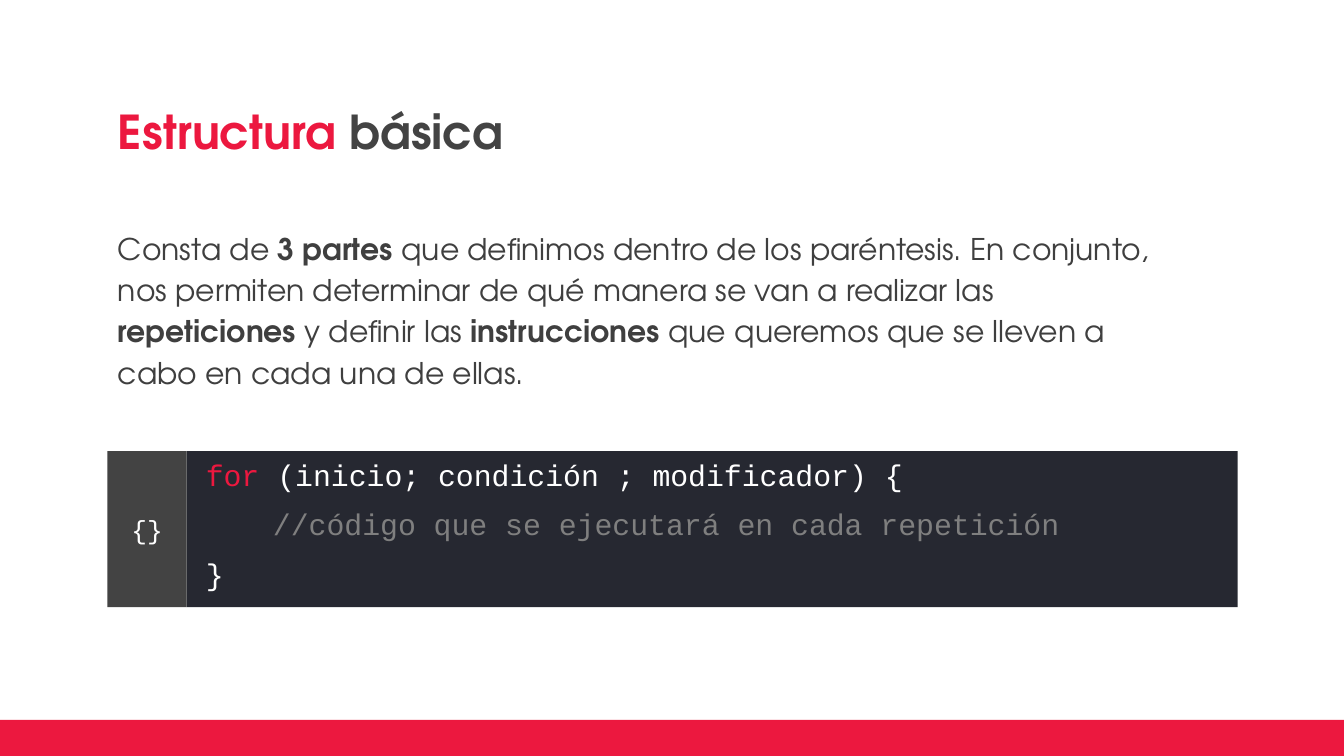
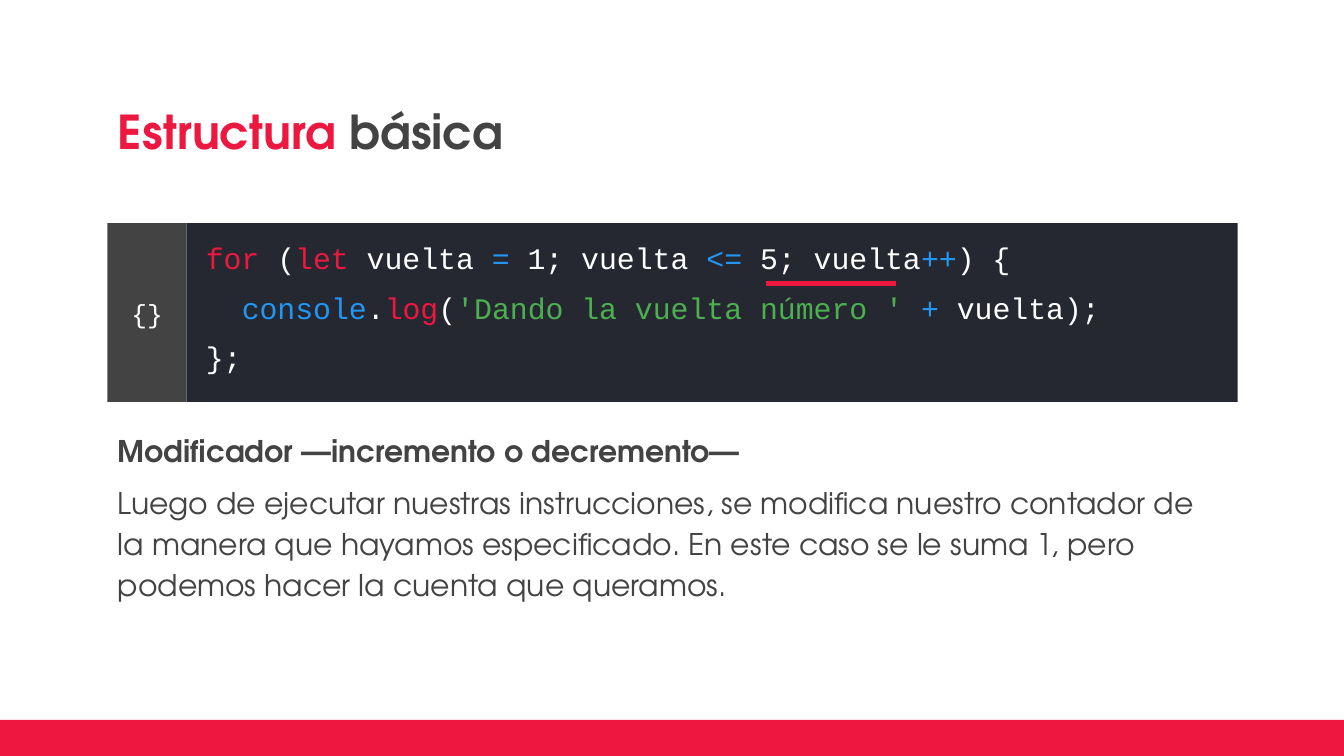
from dataclasses import dataclass

from lxml.etree import SubElement
from pptx import Presentation
from pptx.dml.color import RGBColor
from pptx.enum.shapes import MSO_CONNECTOR, MSO_SHAPE
from pptx.enum.text import MSO_ANCHOR, MSO_AUTO_SIZE, PP_ALIGN
from pptx.oxml.ns import qn
from pptx.util import Cm, Length, Pt

# Shared style
RED = RGBColor(0xEC, 0x18, 0x3F)
DARK_GRAY = RGBColor(0x43, 0x43, 0x43)
BODY_GRAY = RGBColor(0x3F, 0x3F, 0x3F)
COMMENT_GRAY = RGBColor(0x7F, 0x7F, 0x7F)
CODE_BACKGROUND = RGBColor(0x26, 0x28, 0x31)
WHITE = RGBColor(0xFF, 0xFF, 0xFF)
BLUE = RGBColor(0x21, 0x96, 0xF3)
GREEN = RGBColor(0x4C, 0xAF, 0x50)

TEXT_FONT = "TeX Gyre Adventor"
CODE_FONT = "Courier New"
INSET = Cm(0.25)
LEFT = Cm(1.98)
CODE_LEFT = Cm(2.03)
TAB_WIDTH = Cm(1.5)
PANEL_WIDTH = Cm(19.86)


@dataclass(frozen=True)
class Span:
    text: str
    color: RGBColor = WHITE
    bold: bool = False


@dataclass(frozen=True)
class Line:
    spans: tuple[Span, ...]
    indent: Length = Cm(0)
    spacing: float = 1.0
    before: float = 0


@dataclass(frozen=True)
class CodeBlock:
    top: Length
    height: Length
    lines: tuple[Line, ...]


@dataclass(frozen=True)
class Body:
    top: Length
    width: Length
    lines: tuple[Line, ...]


@dataclass(frozen=True)
class Underline:
    left: Length
    right: Length
    top: Length


def add_text(paragraph, text: str, *, font: str, size: float,
             color: RGBColor, bold: bool = False) -> None:
    run = paragraph.add_run()
    run.text = text
    run.font.name = font
    run.font.size = Pt(size)
    run.font.color.rgb = color
    run.font.bold = bold


def write_lines(frame, lines: tuple[Line, ...], *, font: str, size: float) -> None:
    for index, line in enumerate(lines):
        paragraph = frame.add_paragraph() if index else frame.paragraphs[0]
        paragraph.alignment = PP_ALIGN.LEFT
        paragraph.line_spacing = line.spacing
        paragraph.space_before = Pt(line.before)
        properties = paragraph._p.get_or_add_pPr()
        properties.set("marL", "0")
        properties.set("indent", str(int(line.indent)))
        SubElement(properties, qn("a:buNone"))
        for span in line.spans:
            add_text(paragraph, span.text, font=font, size=size,
                     color=span.color, bold=span.bold)


def set_frame(frame, anchor: MSO_ANCHOR, left: Length = INSET, top: Length = INSET) -> None:
    frame.word_wrap = True
    frame.auto_size = MSO_AUTO_SIZE.NONE
    frame.vertical_anchor = anchor
    frame.margin_left, frame.margin_top = left, top
    frame.margin_right = frame.margin_bottom = INSET


def place(shape, left: Length, top: Length, width: Length, height: Length) -> None:
    shape.left, shape.top, shape.width, shape.height = left, top, width, height


def add_rectangle(shapes, left: Length, top: Length, width: Length,
                  height: Length, color: RGBColor):
    rectangle = shapes.add_shape(MSO_SHAPE.RECTANGLE, left, top, width, height)
    rectangle.shadow.inherit = False
    rectangle.fill.solid()
    rectangle.fill.fore_color.rgb = color
    rectangle.line.fill.background()
    return rectangle


def add_title(slide) -> None:
    title = slide.shapes.title
    place(title, LEFT, Cm(1.52), Cm(21.41), Cm(1.75))
    set_frame(title.text_frame, MSO_ANCHOR.BOTTOM)
    spans = (Span("Estructura", RED, True), Span(" básica", DARK_GRAY, True))
    write_lines(title.text_frame, (Line(spans, spacing=0.9),), font=TEXT_FONT, size=25)


def add_body(slide, body: Body) -> None:
    placeholder = slide.placeholders[1]
    place(placeholder, LEFT, body.top, body.width, Cm(1.35))
    set_frame(placeholder.text_frame, MSO_ANCHOR.TOP)
    write_lines(placeholder.text_frame, body.lines, font=TEXT_FONT, size=16)


def add_code(slide, code: CodeBlock) -> None:
    shapes = slide.shapes.add_group_shape().shapes
    panel = add_rectangle(shapes, CODE_LEFT + TAB_WIDTH, code.top,
                          PANEL_WIDTH, code.height, CODE_BACKGROUND)
    set_frame(panel.text_frame, MSO_ANCHOR.MIDDLE, left=Cm(0.36), top=Cm(0))
    write_lines(panel.text_frame, code.lines, font=CODE_FONT, size=16)

    tab = add_rectangle(shapes, CODE_LEFT, code.top, TAB_WIDTH, code.height, DARK_GRAY)
    set_frame(tab.text_frame, MSO_ANCHOR.MIDDLE)
    paragraph = tab.text_frame.paragraphs[0]
    paragraph.alignment = PP_ALIGN.CENTER
    add_text(paragraph, "{}", font=CODE_FONT, size=14, color=WHITE)


def add_underline(slide, underline: Underline) -> None:
    connector = slide.shapes.add_connector(
        MSO_CONNECTOR.STRAIGHT, underline.left, underline.top,
        underline.right, underline.top)
    connector.line.color.rgb = RED
    connector.line.width = Pt(2.25)
    SubElement(connector._element.spPr, qn("a:effectLst"))


def add_slide(presentation, body: Body, code: CodeBlock,
              underline: Underline | None = None) -> None:
    slide = presentation.slides.add_slide(presentation.slide_layouts[1])
    add_title(slide)
    add_body(slide, body)
    add_code(slide, code)
    if underline:
        add_underline(slide, underline)
    # Footer band
    add_rectangle(slide.shapes, Cm(-0.05), Cm(13.61), Cm(25.48), Cm(0.69), RED)


def code_line(*spans: Span, indent: Length = Cm(0)) -> Line:
    return Line(spans, indent, spacing=1.07, before=6)


# Slide 1: parts of the loop
PARTS_BODY = Body(Cm(4.01), Cm(20.45), (
    Line((
        Span("Consta de ", BODY_GRAY),
        Span("3 partes ", BODY_GRAY, True),
        Span("que definimos dentro de los paréntesis. En conjunto, nos permiten "
             "determinar de qué manera se van a realizar las ", BODY_GRAY),
        Span("repeticiones ", BODY_GRAY, True),
        Span("y definir las ", BODY_GRAY),
        Span("instrucciones ", BODY_GRAY, True),
        Span("que queremos que se lleven a cabo en cada una de ellas.", BODY_GRAY),
    ), spacing=1.15),
))
PARTS_CODE = CodeBlock(Cm(8.53), Cm(2.95), (
    code_line(Span("for", RED), Span(" (inicio; condición ; modificador) {")),
    code_line(Span("//código que se ejecutará en cada repetición", COMMENT_GRAY),
              indent=Cm(1.27)),
    code_line(Span("}")),
))

# Slide 2: the modifier
MODIFIER_BODY = Body(Cm(7.92), Cm(21.41), (
    Line((Span("Modificador —incremento o decremento—", DARK_GRAY, True),), before=6),
    Line((Span("Luego de ejecutar nuestras instrucciones, se modifica nuestro contador "
               "de la manera que hayamos especificado. En este caso se le suma 1, pero "
               "podemos hacer la cuenta que queramos.", DARK_GRAY),),
         spacing=1.15, before=6),
))
MODIFIER_CODE = CodeBlock(Cm(4.22), Cm(3.38), (
    code_line(Span("for", RED), Span(" ("), Span("let", RED), Span(" vuelta "),
              Span("=", BLUE), Span(" 1; vuelta "), Span("<=", BLUE),
              Span(" 5; vuelta"), Span("++", BLUE), Span(") {")),
    code_line(Span("console", BLUE), Span("."), Span("log", RED), Span("("),
              Span("'Dando la vuelta número ' ", GREEN), Span("+", BLUE),
              Span(" vuelta);"), indent=Cm(0.68)),
    code_line(Span("};")),
))
MODIFIER_UNDERLINE = Underline(Cm(14.48), Cm(16.94), Cm(5.36))


def main() -> None:
    presentation = Presentation()
    presentation.slide_width = Cm(25.4)
    presentation.slide_height = Cm(14.29)
    add_slide(presentation, PARTS_BODY, PARTS_CODE)
    add_slide(presentation, MODIFIER_BODY, MODIFIER_CODE, MODIFIER_UNDERLINE)
    presentation.save("out.pptx")


if __name__ == "__main__":
    main()
